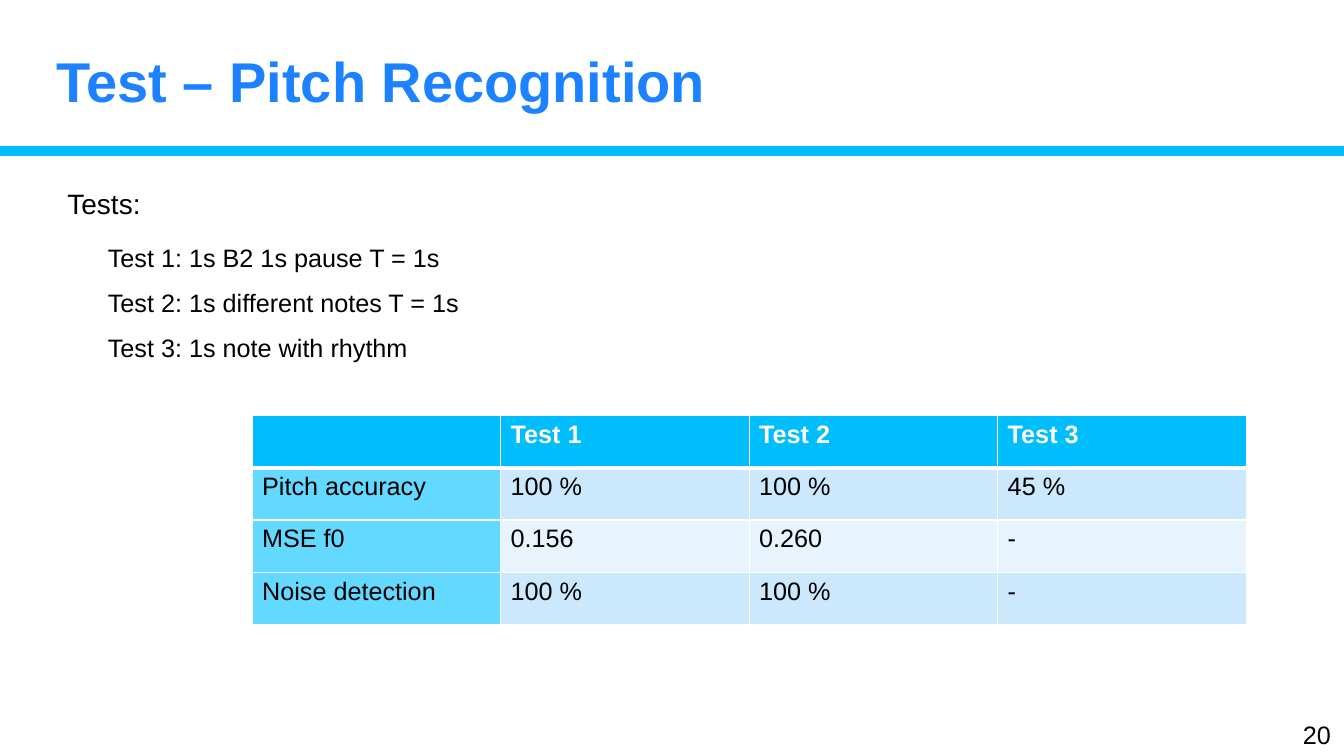
import pptx
import pptx.util
import pptx.dml.color
import pptx.enum.shapes
import pptx.enum.text
import pptx.oxml
import pptx.oxml.ns
import lxml.etree

# Content
TITLE = "Test – Pitch Recognition"
INTRO = "Tests:"
TESTS = [
    "Test 1: 1s B2 1s pause T = 1s",
    "Test 2: 1s different notes T = 1s",
    "Test 3: 1s note with rhythm",
]
RESULTS = [
    ["", "Test 1", "Test 2", "Test 3"],
    ["Pitch accuracy", "100 %", "100 %", "45 %"],
    ["MSE f0", "0.156", "0.260", "-"],
    ["Noise detection", "100 %", "100 %", "-"],
]
PAGE_NUMBER = "20"


class Theme:
    font = "Arial"
    title, accent, label = "1C82FF", "00BDFB", "64D9FF"
    bands = ["CCE8FD", "E7F4FE"]
    text, white = "000000", "FFFFFF"
    title_size, intro_size, body_size = 40, 20, 18
    list_gap = 10.7


# Layout in inches
WIDTH, HEIGHT = 13.33, 7.5
TITLE_AREA = (0.46, 0.26, 8.93, 1.01)
BAR_AREA = (0, 1.46, WIDTH, 0.08)
INTRO_AREA = (0.57, 1.8, 10.43, 0.44)
LIST_AREA = (0.97, 2.35, 10.43, 1.28)
NUMBER_AREA = (WIDTH - 0.54, 7.09, 0.54, 0.4)
TABLE_LEFT, TABLE_TOP, COLUMN, ROW = 2.5, 4.12, 2.465, 0.52

Anchor = pptx.enum.text.MSO_ANCHOR
Align = pptx.enum.text.PP_ALIGN


def color(code):
    return pptx.dml.color.RGBColor.from_string(code)


def inches(area):
    return [pptx.util.Inches(length) for length in area]


def apply(target, formats):
    for name, value in formats.items():
        setattr(target, name, value)


def write(frame, lines, size, code=Theme.text, bold=False, align=Align.LEFT, gap=0, spacing=1.0):
    for index, line in enumerate(lines):
        para = frame.paragraphs[0] if index == 0 else frame.add_paragraph()
        apply(para, {
            "alignment": align,
            "line_spacing": spacing,
            "space_before": pptx.util.Pt(gap if index else 0),
            "space_after": pptx.util.Pt(0),
        })
        properties = para._p.get_or_add_pPr()
        apply_indent = {"marL": "0", "indent": "0"}
        for name, value in apply_indent.items():
            properties.set(name, value)
        lxml.etree.SubElement(properties, pptx.oxml.ns.qn("a:buNone"))
        span = para.add_run()
        span.text = line
        apply(span.font, {"name": Theme.font, "size": pptx.util.Pt(size), "bold": bold})
        span.font.color.rgb = color(code)


def place(box, area, anchor=Anchor.TOP):
    apply(box, dict(zip(("left", "top", "width", "height"), inches(area))))
    apply(box.text_frame, {
        "word_wrap": True,
        "auto_size": pptx.enum.text.MSO_AUTO_SIZE.NONE,
        "vertical_anchor": anchor,
    })
    return box.text_frame


def border(cell, widths):
    properties = cell._tc.get_or_add_tcPr()
    for position, (side, width) in enumerate(widths.items()):
        line = pptx.oxml.parse_xml(
            f'<a:ln{side} {pptx.oxml.ns.nsdecls("a")} w="{pptx.util.Pt(width)}">'
            f'<a:solidFill><a:srgbClr val="{Theme.white}"/></a:solidFill></a:ln{side}>')
        properties.insert(position, line)


def add_results(page):
    rows, columns = len(RESULTS), len(RESULTS[0])
    area = (TABLE_LEFT, TABLE_TOP, COLUMN * columns, ROW * rows)
    table = page.shapes.add_table(rows, columns, *inches(area)).table
    for row, values in enumerate(RESULTS):
        header = row == 0
        for column, value in enumerate(values):
            cell = table.cell(row, column)
            if header:
                fill = Theme.accent
            else:
                fill = Theme.bands[(row - 1) % 2] if column else Theme.label
            cell.fill.solid()
            cell.fill.fore_color.rgb = color(fill)
            border(cell, {"L": 1, "R": 1, "T": 3 if row == 1 else 1, "B": 3 if header else 1})
            if value:
                write(cell.text_frame, [value], Theme.body_size,
                      Theme.white if header else Theme.text, bold=header)


def main():
    deck = pptx.Presentation()
    deck.slide_width, deck.slide_height = inches((WIDTH, HEIGHT))
    page = deck.slides.add_slide(deck.slide_layouts[1])

    # Title and dividing bar
    write(place(page.shapes.title, TITLE_AREA, Anchor.MIDDLE), [TITLE],
          Theme.title_size, Theme.title, bold=True, spacing=1.1)
    bar = page.shapes.add_shape(pptx.enum.shapes.MSO_SHAPE.RECTANGLE, *inches(BAR_AREA))
    bar.shadow.inherit = False
    bar.fill.solid()
    bar.fill.fore_color.rgb = color(Theme.accent)
    bar.line.color.rgb = color(Theme.accent)
    bar.line.width = pptx.util.Pt(1)

    # List of tests
    write(place(page.placeholders[1], LIST_AREA), TESTS, Theme.body_size, gap=Theme.list_gap)
    intro = page.shapes.add_textbox(*inches(INTRO_AREA))
    write(place(intro, INTRO_AREA), [INTRO], Theme.intro_size)

    # Results table and page number
    add_results(page)
    number = page.shapes.add_textbox(*inches(NUMBER_AREA))
    write(place(number, NUMBER_AREA), [PAGE_NUMBER], Theme.body_size, align=Align.CENTER)

    deck.save("out.pptx")


if __name__ == "__main__":
    main()
